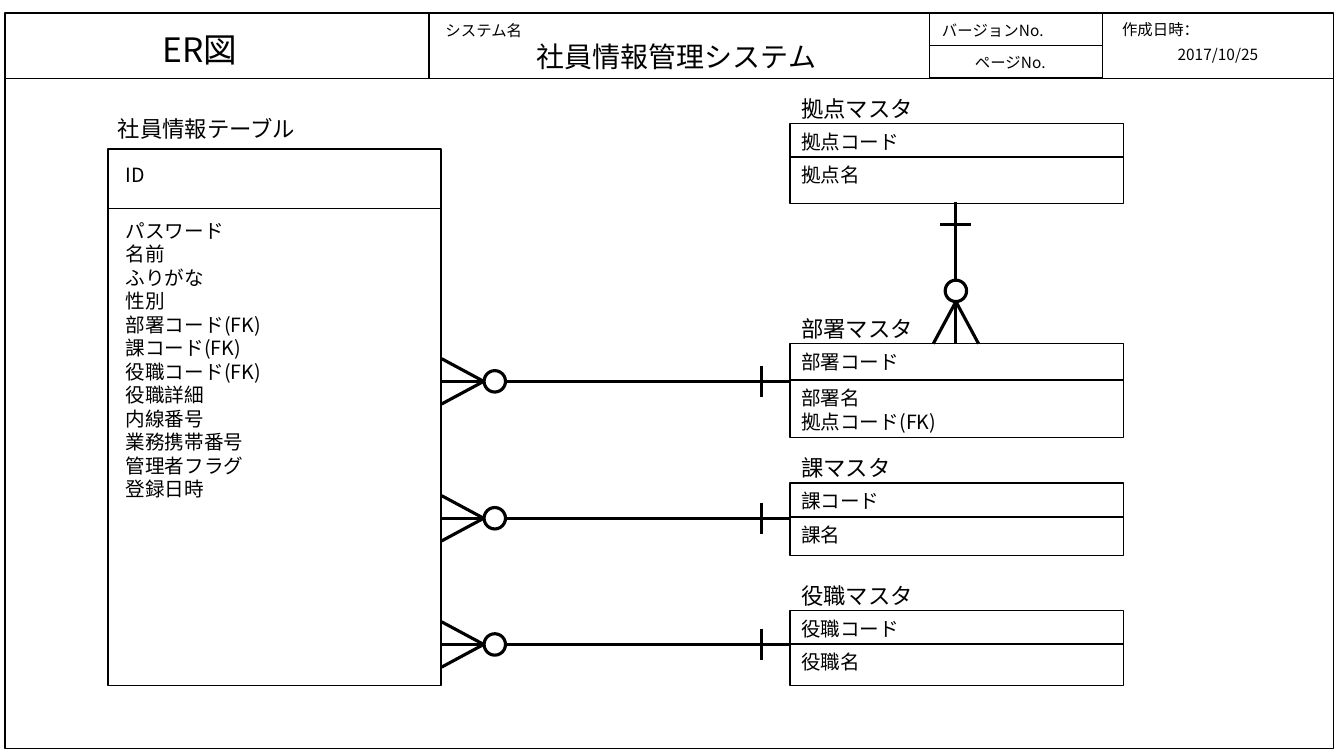
"""Build the ER diagram slide of the staff information system."""
from lxml import etree
from pptx import Presentation
from pptx.dml.color import RGBColor
from pptx.enum.shapes import MSO_CONNECTOR, MSO_SHAPE
from pptx.enum.text import MSO_ANCHOR, PP_ALIGN
from pptx.oxml.ns import qn
from pptx.util import Cm, Pt

RECT, OVAL = MSO_SHAPE.RECTANGLE, MSO_SHAPE.OVAL
STRAIGHT = MSO_CONNECTOR.STRAIGHT
LEFT, MID, RIGHT = PP_ALIGN.LEFT, PP_ALIGN.CENTER, PP_ALIGN.RIGHT
TOP, CENTER = MSO_ANCHOR.TOP, MSO_ANCHOR.MIDDLE
FONT = "Noto Sans CJK JP"
BLACK, WHITE = "000000", "FFFFFF"
THIN, BOLD = 1, 2.25
RING = 0.54

deck = Presentation()
deck.slide_width, deck.slide_height = Cm(33.87), Cm(19.05)
slide = deck.slides.add_slide(deck.slide_layouts[6])
shapes = slide.shapes
color = RGBColor.from_string


def box(kind, x, y, w, h, width, fill=None):
    part = shapes.add_shape(kind, Cm(x), Cm(y), Cm(w), Cm(h))
    part.shadow.inherit = False
    if fill:
        part.fill.solid()
        part.fill.fore_color.rgb = color(fill)
    else:
        part.fill.background()
    part.line.color.rgb = color(BLACK)
    part.line.width = Pt(width)


def rule(x1, y1, x2, y2, width):
    line = shapes.add_connector(STRAIGHT, Cm(x1), Cm(y1), Cm(x2), Cm(y2))
    line.line.color.rgb = color(BLACK)
    line.line.width = Pt(width)
    etree.SubElement(line._element.spPr, qn("a:effectLst"))


frames = [
    (0.13, 1.98, 33.48, 16.89),
    (0.13, 0.33, 10.68, 1.65),
    (10.81, 0.33, 12.62, 1.65),
    (23.43, 0.33, 4.36, 0.82),
    (23.43, 1.15, 4.36, 0.82),
    (27.79, 0.33, 5.82, 1.65),
]
for frame in frames:
    box(RECT, *frame, THIN)

texts = [
    ("社員情報管理システム", 10.21, 0.91, 13.67, 1.04, 20, MID, CENTER),
    ("ER図", 1.37, 0.61, 7.34, 1.24, 24, MID, TOP),
    ("システム名", 10.62, 0.41, 3.15, 0.84, 11, MID, TOP),
    ("バージョンNo.", 22.71, 0.41, 3.84, 0.74, 11, RIGHT, TOP),
    ("ページNo.", 23.42, 1.22, 3.18, 0.69, 11, RIGHT, TOP),
    ("作成日時：", 27.56, 0.38, 3.38, 0.61, 11, MID, TOP),
    ("2017/10/25", 28.09, 1.02, 5.21, 0.58, 11, MID, TOP),
]

staff = """パスワード
名前
ふりがな
性別
部署コード(FK)
課コード(FK)
役職コード(FK)
役職詳細
内線番号
業務携帯番号
管理者フラグ
登録日時"""
master = (19.94, 19.94, 0.84, 0.03, 0.03)
tables = [
    ("社員情報テーブル", "ID", staff, 2.72, 3.76, 5.26, 17.27,
     (2.72, 2.92, 0.99, 0.23, 0.12)),
    ("拠点マスタ", "拠点コード", "拠点名", 19.91, 3.12, 3.96, 5.13, master),
    ("部署マスタ", "部署コード", "部署名\n拠点コード(FK)",
     19.91, 8.66, 9.58, 11.02, master),
    ("課マスタ", "課コード", "課名", 19.91, 12.17, 13.03, 14, master),
    ("役職マスタ", "役職コード", "役職名", 19.91, 15.39, 16.23, 17.27, master),
]
for name, key, cols, x, top, mid, end, place in tables:
    head, body, lift, drop, gap = place
    box(RECT, x, top, 8.4, end - top, THIN, WHITE)
    rule(x, mid, x + 8.4, mid, THIN)
    texts += [
        (name, head, top - lift, 7.39, 1.19, 16, LEFT, TOP),
        (key, body, top + drop, 7.39, 0.81, 14, LEFT, TOP),
        (cols, body, mid + gap, 7.39, end - mid, 14, LEFT, TOP),
    ]

for y in (9.61, 13.06, 16.24):
    rule(19.18, y - 0.39, 19.18, y + 0.39, BOLD)
    rule(11.13, y, 19.91, y, BOLD)
    for side in (-0.57, 0.57):
        rule(11.13, y + side, 12.19, y, BOLD)
    box(OVAL, 12.2, y - RING / 2, RING, RING, BOLD, WHITE)

x = 24.09
rule(x - 0.39, 5.66, x + 0.39, 5.66, BOLD)
rule(x, 5.1, x, 8.66, BOLD)
for side in (-0.57, 0.57):
    rule(x + side, 8.66, x, 7.6, BOLD)
box(OVAL, x - RING / 2, 7.06, RING, RING, BOLD, WHITE)

for words, x, y, w, h, size, align, anchor in texts:
    frame = shapes.add_textbox(Cm(x), Cm(y), Cm(w), Cm(h)).text_frame
    frame.word_wrap = True
    frame.vertical_anchor = anchor
    frame.text = words
    for para in frame.paragraphs:
        para.alignment = align
        para.line_spacing = Pt(1.2 * size)
        para.font.size = Pt(size)
        para.font.name = FONT
        para.font.color.rgb = color(BLACK)
        east = etree.SubElement(para._p.pPr.find(qn("a:defRPr")), qn("a:ea"))
        east.set("typeface", FONT)

deck.save("out.pptx")
